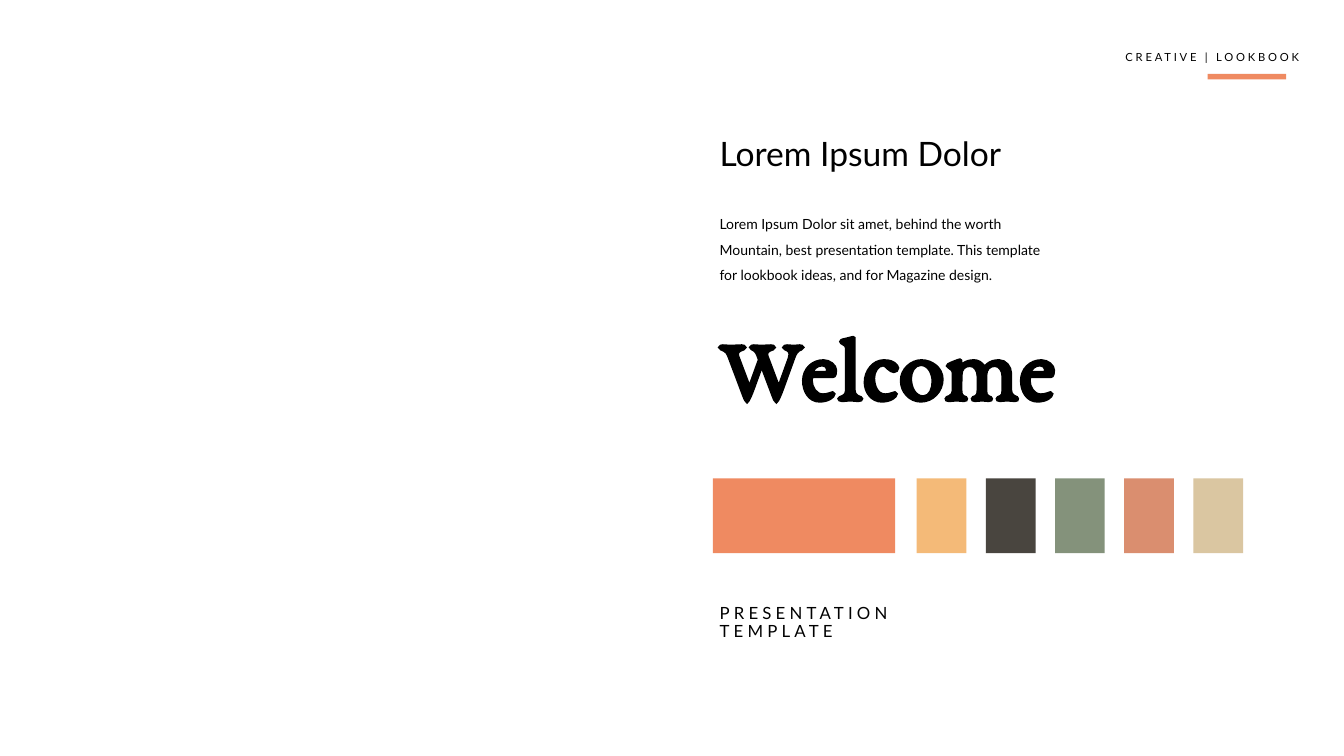
from pptx import Presentation
from pptx.dml.color import RGBColor
from pptx.enum import shapes, text
from pptx.util import Inches, Pt

BLACK = RGBColor(0x00, 0x00, 0x00)
ORANGE = RGBColor(0xEF, 0x8A, 0x61)
AMBER = RGBColor(0xF4, 0xBA, 0x78)
CHARCOAL = RGBColor(0x49, 0x45, 0x3F)
SAGE = RGBColor(0x84, 0x92, 0x7B)
TERRACOTTA = RGBColor(0xDA, 0x8E, 0x6F)
SAND = RGBColor(0xDA, 0xC6, 0xA1)

LEFT = 10.61


class LookbookSlide:
    body_font = "Lato"
    title_font = "EB Garamond"

    def __init__(self, prs):
        self.s = prs.slides.add_slide(prs.slide_layouts[5])

    def set_text(self, sp, words, size, font, bold=False, line=0.9, before=0, tracking=0):
        """Fill a text shape with one left-aligned paragraph; tracking is in points."""
        tf = sp.text_frame
        tf.text = words
        tf.word_wrap = True
        tf.auto_size = text.MSO_AUTO_SIZE.NONE
        tf.vertical_anchor = text.MSO_ANCHOR.TOP
        p = tf.paragraphs[0]
        p.alignment = text.PP_ALIGN.LEFT
        p.line_spacing = line
        p.space_before = Pt(before)
        r = p.runs[0]
        r.font.name = font
        r.font.size = Pt(size)
        r.font.bold = bold
        r.font.color.rgb = BLACK
        if tracking:
            r._r.get_or_add_rPr().set("spc", str(int(tracking * 100)))

    def title(self, words, x, y, w, h, size):
        sp = self.s.shapes.title
        sp.left, sp.top, sp.width, sp.height = map(Inches, (x, y, w, h))
        self.set_text(sp, words, size, self.title_font, bold=True)

    def label(self, words, x, y, w, h, size, **style):
        sp = self.s.shapes.add_textbox(*map(Inches, (x, y, w, h)))
        self.set_text(sp, words, size, self.body_font, **style)

    def block(self, x, y, w, h, color):
        sp = self.s.shapes.add_shape(
            shapes.MSO_SHAPE.RECTANGLE, *map(Inches, (x, y, w, h)))
        sp.shadow.inherit = False
        sp.fill.solid()
        sp.fill.fore_color.rgb = color
        sp.line.fill.background()


def main():
    prs = Presentation()
    prs.slide_width, prs.slide_height = Inches(20), Inches(11.25)
    page = LookbookSlide(prs)

    page.label("CREATIVE | LOOKBOOK", 16.65, 0.72, 3.01, 0.38, 12, before=10, tracking=3)
    page.block(17.97, 1.1, 1.17, 0.08, ORANGE)

    page.title("Welcome", LEFT, 4.72, 11.11, 1.68, 99)
    page.label("Lorem Ipsum Dolor sit amet, behind the worth Mountain, best presentation "
               "template. This template for lookbook ideas, and for Magazine design.",
               LEFT, 3.04, 5.27, 1.92, 15, line=1.5)
    page.label("Lorem Ipsum Dolor", LEFT, 2, 4.5, 0.67, 36, before=10)

    swatch_y, swatch_h = 7.12, 1.11
    page.block(LEFT, swatch_y, 2.71, swatch_h, ORANGE)
    for i, color in enumerate((AMBER, CHARCOAL, SAGE, TERRACOTTA, SAND)):
        page.block(13.64 + i * 1.03, swatch_y, 0.74, swatch_h, color)

    page.label("PRESENTATION TEMPLATE", LEFT, 8.95, 4.5, 0.5, 18, before=10, tracking=4.5)
    prs.save("out.pptx")


if __name__ == "__main__":
    main()
